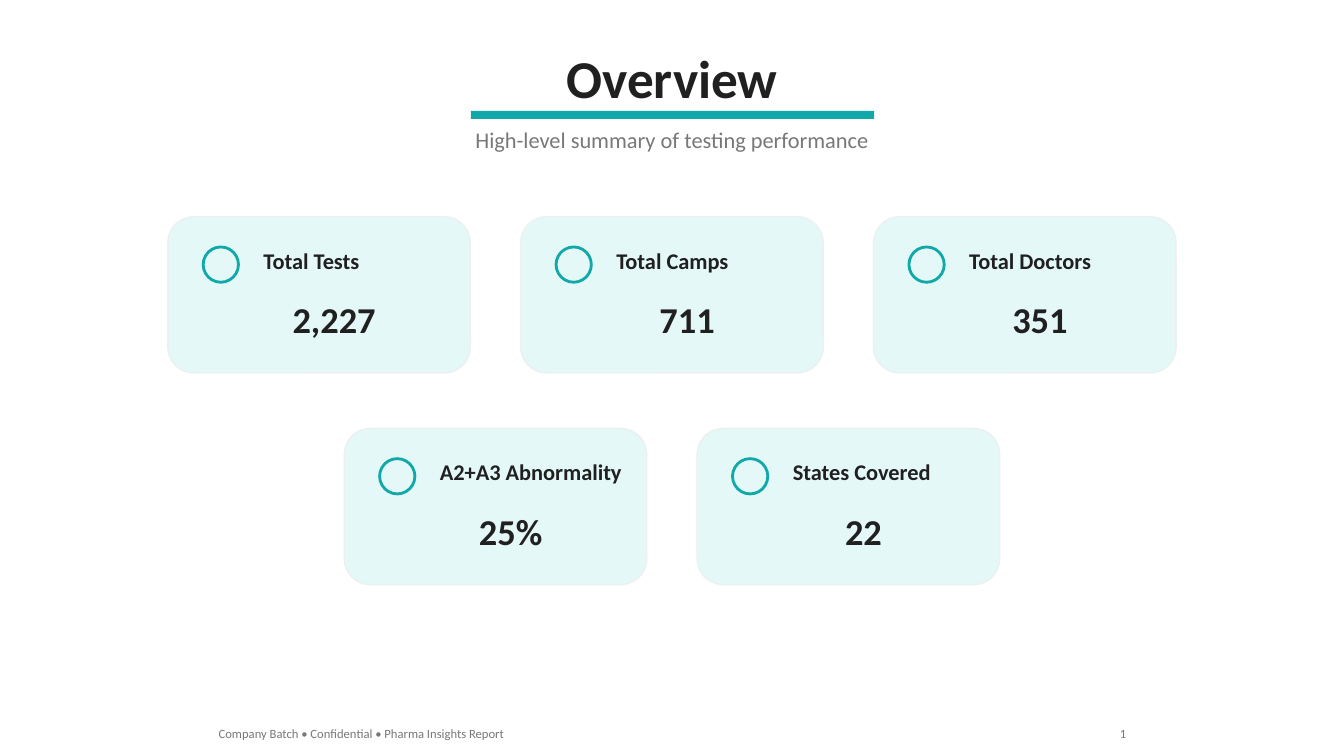
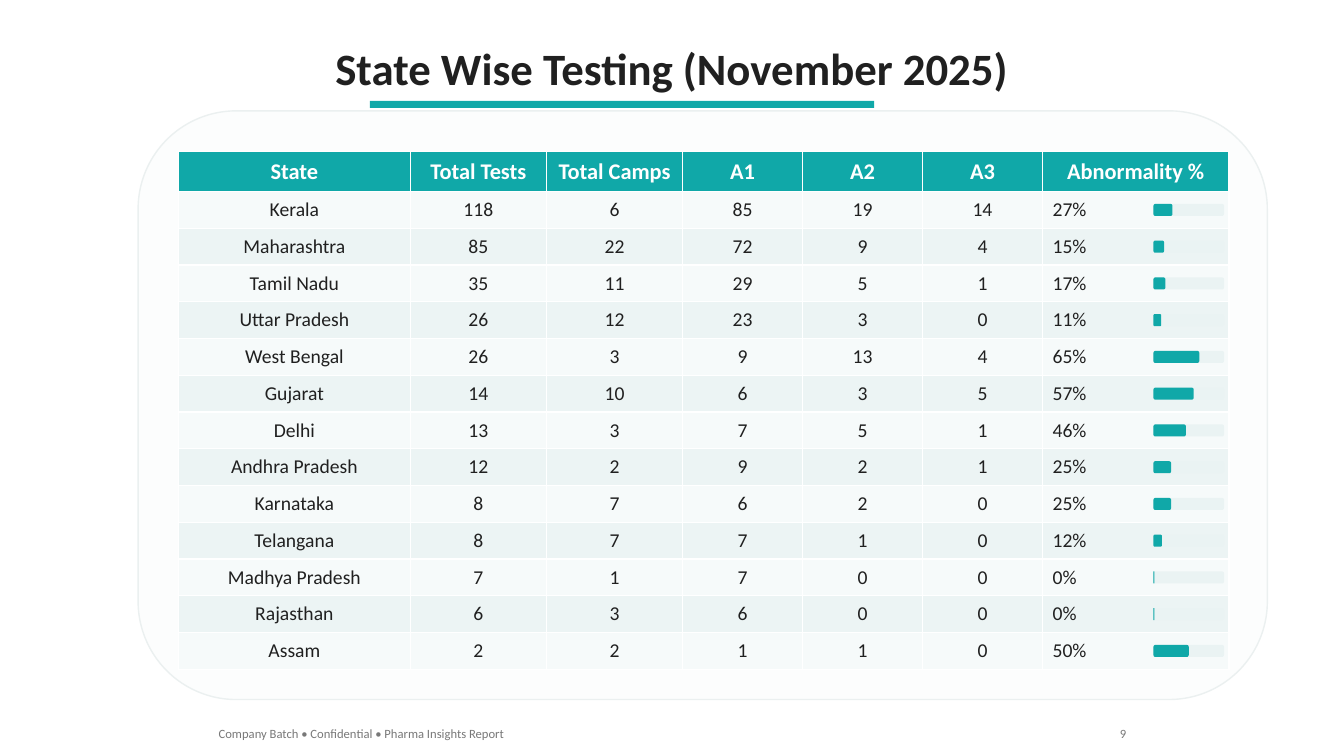
from pptx import Presentation
from pptx import util as u
from pptx.dml.color import RGBColor
from pptx.enum import shapes, text

SLIDE_W, SLIDE_H = 13.33, 7.5
FONT = "Calibri"
C = {"ink": "202020", "muted": "787878", "teal": "10A8A8", "card": "E4F8F8",
     "edge": "EBF0F0", "panel": "FCFDFD", "odd": "F6FAFA", "even": "ECF4F4",
     "track": "EAF3F3", "white": "FFFFFF"}
RECT = shapes.MSO_SHAPE.RECTANGLE
ROUND = shapes.MSO_SHAPE.ROUNDED_RECTANGLE
OVAL = shapes.MSO_SHAPE.OVAL
LEFT, CENTER, RIGHT = text.PP_ALIGN.LEFT, text.PP_ALIGN.CENTER, text.PP_ALIGN.RIGHT

FOOTER = "Company Batch • Confidential • Pharma Insights Report"
CARD_ROWS = [
    (2.15, [("Total Tests", 1.16, "2,227", 1.03),
            ("Total Camps", 1.33, "711", 0.75),
            ("Total Doctors", 1.43, "351", 0.75)]),
    (4.25, [("A2+A3 Abnormality", 2.03, "25%", 0.84),
            ("States Covered", 1.59, "22", 0.57)]),
]
HEADERS = ["State", "Total Tests", "Total Camps", "A1", "A2", "A3", "Abnormality %"]
COL_WIDTHS = [2.3, 1.35, 1.35, 1.19, 1.19, 1.19, 1.85]
STATES = [
    ("Kerala", 118, 6, 85, 19, 14, 27),
    ("Maharashtra", 85, 22, 72, 9, 4, 15),
    ("Tamil Nadu", 35, 11, 29, 5, 1, 17),
    ("Uttar Pradesh", 26, 12, 23, 3, 0, 11),
    ("West Bengal", 26, 3, 9, 13, 4, 65),
    ("Gujarat", 14, 10, 6, 3, 5, 57),
    ("Delhi", 13, 3, 7, 5, 1, 46),
    ("Andhra Pradesh", 12, 2, 9, 2, 1, 25),
    ("Karnataka", 8, 7, 6, 2, 0, 25),
    ("Telangana", 8, 7, 7, 1, 0, 12),
    ("Madhya Pradesh", 7, 1, 7, 0, 0, 0),
    ("Rajasthan", 6, 3, 6, 0, 0, 0),
    ("Assam", 2, 2, 1, 1, 0, 50),
]


def rgb(name):
    """Return the palette colour of that name."""
    return RGBColor.from_string(C[name])


def write(tf, content, size=16, color="ink", bold=False, align=LEFT):
    """Put one formatted line into a text frame."""
    p = tf.paragraphs[0]
    p.alignment = align
    r = p.add_run()
    r.text = content
    r.font.name, r.font.size, r.font.bold = FONT, u.Pt(size), bold
    r.font.color.rgb = rgb(color)


def add_text(s, content, x, y, w, h, **fmt):
    """Add a text box that hugs its single line."""
    tf = s.shapes.add_textbox(*map(u.Inches, (x, y, w, h))).text_frame
    tf.word_wrap = False
    tf.auto_size = text.MSO_AUTO_SIZE.SHAPE_TO_FIT_TEXT
    write(tf, content, **fmt)


def add_centered(s, content, cx, y, w, h, **fmt):
    """Add a text box centred on cx."""
    add_text(s, content, cx - w / 2, y, w, h, align=CENTER, **fmt)


def add_shape(s, kind, x, y, w, h, fill=None, line=None, weight=1):
    """Add a flat preset shape with optional fill and outline."""
    sp = s.shapes.add_shape(kind, *map(u.Inches, (x, y, w, h)))
    sp.shadow.inherit = False
    if fill:
        sp.fill.solid()
        sp.fill.fore_color.rgb = rgb(fill)
    else:
        sp.fill.background()
    if line:
        sp.line.color.rgb = rgb(line)
        sp.line.width = u.Pt(weight)
    else:
        sp.line.fill.background()


def add_slide(prs, title, title_box, size, rule, number):
    """Add a slide with its title, teal rule and footer."""
    s = prs.slides.add_slide(prs.slide_layouts[6])
    s.background.fill.solid()
    s.background.fill.fore_color.rgb = rgb("white")
    add_centered(s, title, SLIDE_W / 2, *title_box, size=size, bold=True)
    add_shape(s, RECT, *rule, fill="teal")
    add_text(s, FOOTER, 2.07, 7.15, 3.05, 0.25, size=9, color="muted")
    add_text(s, str(number), 11, 7.15, 0.27, 0.25, size=9, color="muted", align=RIGHT)
    return s


def add_card(s, x, y, label, label_w, value, value_w):
    """Add a metric card with ring, label and value."""
    add_shape(s, ROUND, x, y, 3, 1.55, fill="card", line="edge")
    add_shape(s, OVAL, x + 0.35, y + 0.3, 0.35, 0.35, line="teal", weight=2)
    add_text(s, label, x + 0.85, y + 0.25, label_w, 0.37, bold=True)
    add_centered(s, value, x + 1.65, y + 0.75, value_w, 0.54, size=26, bold=True)


def add_card_row(s, y, cards, width=3, gap=0.5):
    """Add a row of cards centred on the slide."""
    pitch = width + gap
    x = (SLIDE_W - len(cards) * pitch + gap) / 2
    for i, card in enumerate(cards):
        add_card(s, x + i * pitch, y, *card)


def fill_cell(cell, content, fill, **fmt):
    """Fill and write one table cell."""
    cell.fill.solid()
    cell.fill.fore_color.rgb = rgb(fill)
    cell.vertical_anchor = text.MSO_ANCHOR.MIDDLE
    write(cell.text_frame, content, **fmt)


def add_state_table(s, x, y, h, head_h):
    """Add the state table with a bar beside each abnormality rate."""
    row_h = (h - head_h) / len(STATES)
    size = map(u.Inches, (x, y, sum(COL_WIDTHS), h))
    table = s.shapes.add_table(len(STATES) + 1, len(HEADERS), *size).table
    for col, w in zip(table.columns, COL_WIDTHS):
        col.width = u.Inches(w)
    for i, row in enumerate(table.rows):
        row.height = u.Inches(row_h if i else head_h)
    for c, header in enumerate(HEADERS):
        fill_cell(table.cell(0, c), header, "teal", color="white", bold=True, align=CENTER)
    for i, (*counts, rate) in enumerate(STATES):
        fill = "even" if i % 2 else "odd"
        for c, value in enumerate(counts):
            fill_cell(table.cell(i + 1, c), str(value), fill, size=14, align=CENTER)
        fill_cell(table.cell(i + 1, len(counts)), f"{rate}%", fill, size=14)
        add_rate_bar(s, 11.44, y + head_h + (i + 0.5) * row_h - 0.06, rate)


def add_rate_bar(s, x, y, rate, w=0.7, h=0.12):
    """Add a track and its part filled by a percentage."""
    add_shape(s, ROUND, x, y, w, h, fill="track")
    add_shape(s, ROUND, x, y, max(w * rate / 100, 0.01), h, fill="teal")


def main():
    """Build and save the deck."""
    prs = Presentation()
    prs.slide_width, prs.slide_height = u.Inches(SLIDE_W), u.Inches(SLIDE_H)

    s = add_slide(prs, "Overview", (0.4, 2.32, 0.74), 38, (4.67, 1.1, 4, 0.08), 1)
    add_centered(s, "High-level summary of testing performance",
                 SLIDE_W / 2, 1.2, 4.15, 0.37, color="muted")
    for y, cards in CARD_ROWS:
        add_card_row(s, y, cards)

    s = add_slide(prs, "State Wise Testing (November 2025)", (0.35, 6.94, 0.64), 32,
                  (3.67, 1, 5, 0.07), 9)
    add_shape(s, ROUND, 1.37, 1.1, 11.2, 5.84, fill="panel", line="edge")
    add_state_table(s, 1.77, 1.5, 5.14, 0.4)

    prs.save("out.pptx")


if __name__ == "__main__":
    main()
